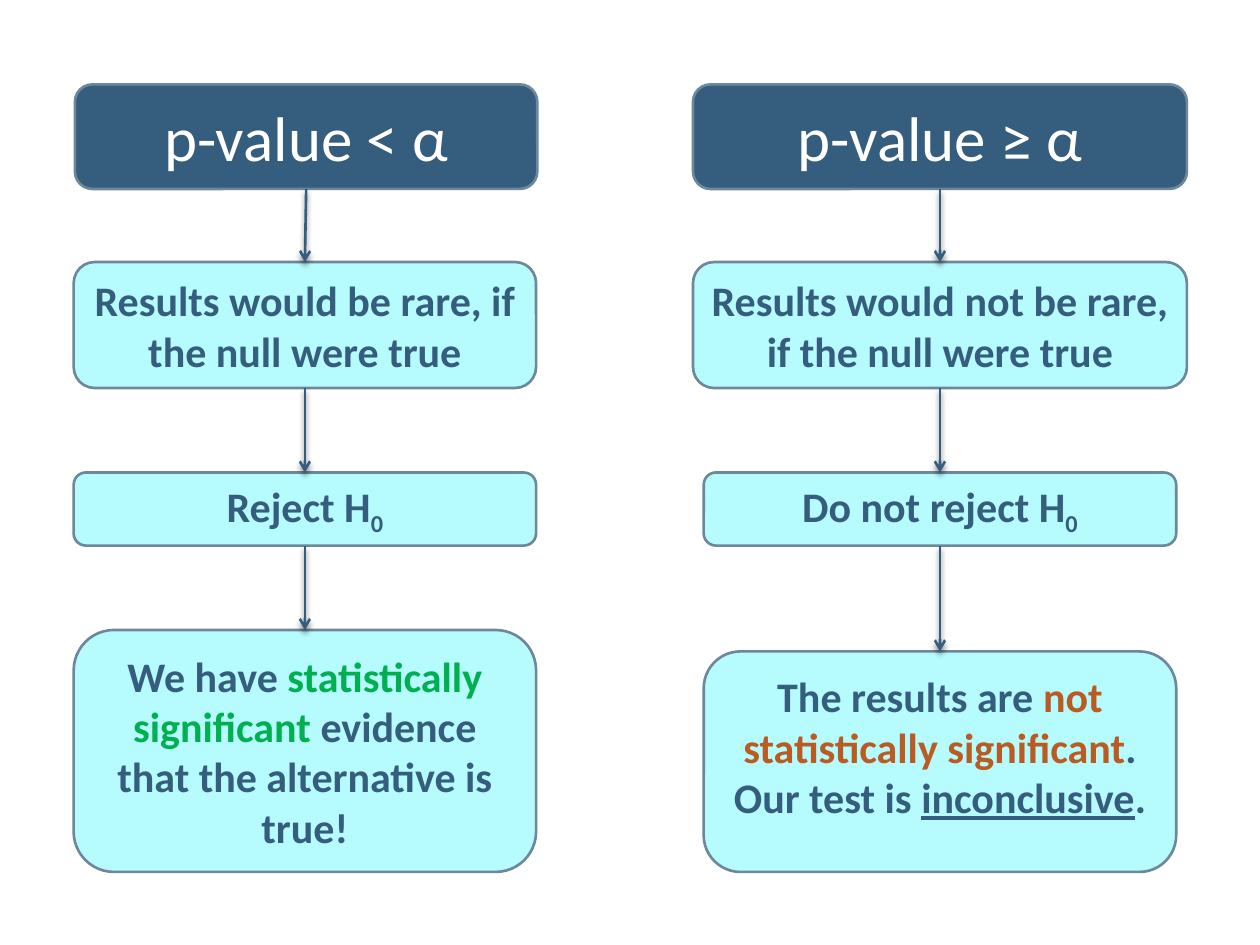
"""Build a slide with two flowcharts that compare decisions from a p-value."""
import itertools

import lxml.etree
import pptx
import pptx.dml.color
import pptx.enum.shapes
import pptx.enum.text
import pptx.oxml
import pptx.oxml.ns
import pptx.util

NAVY = pptx.dml.color.RGBColor(0x35, 0x5D, 0x7E)
SLATE = pptx.dml.color.RGBColor(0x6D, 0x87, 0x9B)
AQUA = pptx.dml.color.RGBColor(0xB6, 0xFB, 0xFD)
WHITE = pptx.dml.color.RGBColor(0xFF, 0xFF, 0xFF)
GREEN = pptx.dml.color.RGBColor(0x00, 0xB0, 0x50)
RUST = pptx.dml.color.RGBColor(0xB9, 0x5B, 0x22)

SLIDE_WIDTH, SLIDE_HEIGHT = 10, 7.5
ROW_TOPS = (0.67, 2.08, 3.75, 5)
ROW_BOTTOMS = (1.5, 3.08, 4.33, 6.92)

COLUMNS = [
    {
        "centers": (2.43, 2.42, 2.42, 2.42),
        "widths": (3.67, 3.67, 3.67, 3.67),
        "last_top_shift": 0,
        "last_bottom_margin": 0.05,
        "steps": [
            [("p-value < α", "plain")],
            [("Results would be rare, if the null were true", "plain")],
            [("Reject H", "plain"), ("0", "subscript")],
            [("We have ", "plain"), ("statistically significant ", "green"),
             ("evidence that the alternative is true!", "plain")],
        ],
    },
    {
        "centers": (7.46, 7.46, 7.46, 7.46),
        "widths": (3.92, 3.92, 3.75, 3.75),
        "last_top_shift": 0.17,
        "last_bottom_margin": 0.29,
        "steps": [
            [("p-value ≥ α", "plain")],
            [("Results would not be rare, if the null were true", "plain")],
            [("Do not reject H", "plain"), ("0", "subscript")],
            [("The results are ", "plain"), ("not statistically significant", "rust"),
             (". Our test is ", "plain"), ("inconclusive", "underline"), (".", "plain")],
        ],
    },
]
RUN_COLORS = {"green": GREEN, "rust": RUST}

ARROWHEAD = f'<a:tailEnd {pptx.oxml.ns.nsdecls("a")} type="arrow"/>'
SHADOW = (
    f'<a:effectLst {pptx.oxml.ns.nsdecls("a")}>'
    '<a:outerShdw blurRad="38100" dist="30000" dir="5400000" rotWithShape="0">'
    '<a:srgbClr val="000000"><a:alpha val="45000"/></a:srgbClr>'
    '</a:outerShdw></a:effectLst>'
)


def write_text(shape, segments, is_header):
    paragraph = shape.text_frame.paragraphs[0]
    paragraph.alignment = pptx.enum.text.PP_ALIGN.CENTER
    paragraph.font.name = "Calibri"
    paragraph.font.size = pptx.util.Pt(36 if is_header else 24)
    paragraph.font.bold = not is_header
    base_color = WHITE if is_header else NAVY
    for text, style in segments:
        run = paragraph.add_run()
        run.text = text
        run.font.color.rgb = RUN_COLORS.get(style, base_color)
        if style == "underline":
            run.font.underline = True
        elif style == "subscript":
            run.font._element.set("baseline", "-25000")


def add_step(slide, center, top, width, bottom, segments, is_header):
    shape = slide.shapes.add_shape(
        pptx.enum.shapes.MSO_SHAPE.ROUNDED_RECTANGLE,
        pptx.util.Inches(center - width / 2), pptx.util.Inches(top),
        pptx.util.Inches(width), pptx.util.Inches(bottom - top))
    shape.shadow.inherit = False
    shape.fill.solid()
    shape.fill.fore_color.rgb = NAVY if is_header else AQUA
    shape.line.color.rgb = SLATE
    shape.line.width = pptx.util.Pt(1.5)
    write_text(shape, segments, is_header)
    return shape


def add_arrow(slide, upper, lower):
    arrow = slide.shapes.add_connector(
        pptx.enum.shapes.MSO_CONNECTOR.STRAIGHT, 0, 0, 0, 0)
    arrow.begin_connect(upper, 2)
    arrow.end_connect(lower, 0)
    arrow.line.color.rgb = NAVY
    arrow.line.width = pptx.util.Pt(1.5)
    arrow.line._get_or_add_ln().append(pptx.oxml.parse_xml(ARROWHEAD))
    arrow._element.spPr.append(pptx.oxml.parse_xml(SHADOW))


def main():
    presentation = pptx.Presentation()
    presentation.slide_width = pptx.util.Inches(SLIDE_WIDTH)
    presentation.slide_height = pptx.util.Inches(SLIDE_HEIGHT)
    slide = presentation.slides.add_slide(presentation.slide_layouts[6])
    for column in COLUMNS:
        tops = (*ROW_TOPS[:-1], ROW_TOPS[-1] + column["last_top_shift"])
        rows = zip(column["centers"], tops, column["widths"], ROW_BOTTOMS, column["steps"])
        steps = [add_step(slide, *row, is_header=index == 0)
                 for index, row in enumerate(rows)]
        steps[-1].text_frame.margin_bottom = pptx.util.Inches(column["last_bottom_margin"])
        for upper, lower in itertools.pairwise(steps):
            add_arrow(slide, upper, lower)
    presentation.save("out.pptx")


if __name__ == "__main__":
    main()
